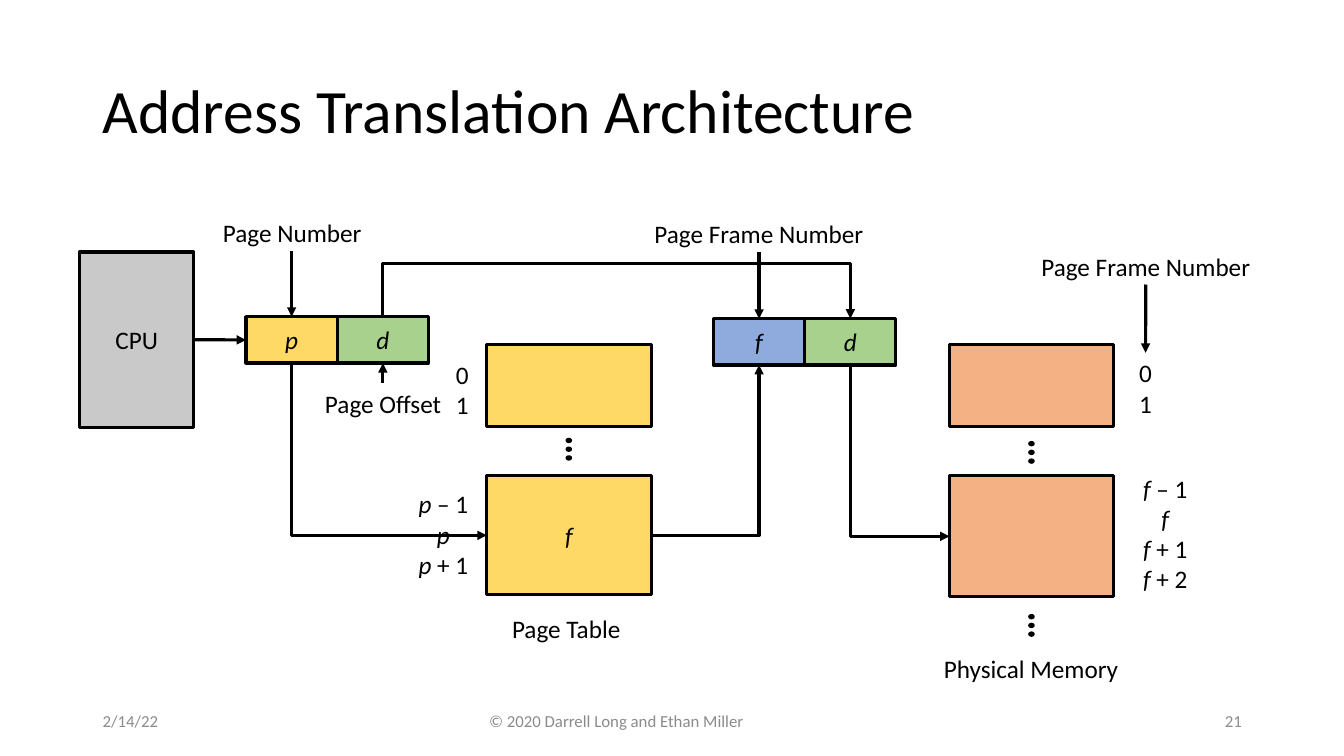
from pptx import Presentation
from pptx import util as u
from pptx.dml.color import RGBColor
from pptx.enum import shapes, text
from pptx.oxml.ns import qn
from lxml import etree

FONT = "Calibri"
BLACK, GREY, FOOTER = "000000", "C9C9C9", "8C8C8C"
YELLOW, GREEN, BLUE, ORANGE = "FFD966", "A9D18E", "8FAADC", "F4B183"
CENTER, LEFT, RIGHT = text.PP_ALIGN.CENTER, text.PP_ALIGN.LEFT, text.PP_ALIGN.RIGHT
MIDDLE, TOP = text.MSO_ANCHOR.MIDDLE, text.MSO_ANCHOR.TOP
RECTANGLE, OVAL = shapes.MSO_SHAPE.RECTANGLE, shapes.MSO_SHAPE.OVAL
STRAIGHT, ELBOW = shapes.MSO_CONNECTOR.STRAIGHT, shapes.MSO_CONNECTOR.ELBOW


def color(value):
    return RGBColor.from_string(value)


def cm_box(box):
    return [u.Cm(length) for length in box]


def write(frame, lines, size=18, tint=BLACK, align=CENTER, anchor=MIDDLE, inset=0):
    frame.word_wrap = True
    frame.vertical_anchor = anchor
    frame.margin_left = frame.margin_right = u.Cm(inset)
    for index, line in enumerate(lines):
        paragraph = frame.paragraphs[0] if index == 0 else frame.add_paragraph()
        paragraph.alignment = align
        paragraph.font.name = FONT
        paragraph.font.size = u.Pt(size)
        paragraph.font.color.rgb = color(tint)
        variable = line[0] if line[0] in "pdf" else ""
        for part, italic in ((variable, True), (line[len(variable):], False)):
            if part:
                run = paragraph.add_run()
                run.text = part
                run.font.italic = italic


def label(slide, box, *lines, anchor=TOP, **style):
    caption = slide.shapes.add_textbox(*cm_box(box))
    write(caption.text_frame, lines, anchor=anchor, **style)
    return caption


def solid(slide, kind, box, fill, weight):
    shape = slide.shapes.add_shape(kind, *cm_box(box))
    shape.shadow.inherit = False
    shape.fill.solid()
    shape.fill.fore_color.rgb = color(fill)
    shape.line.color.rgb = color(BLACK)
    shape.line.width = u.Pt(weight)
    return shape


def cell(slide, box, fill, name=""):
    block = solid(slide, RECTANGLE, box, fill, 2.25)
    if name:
        write(block.text_frame, [name])
    return block


def dots(slide, center, top):
    for row in range(3):
        solid(slide, OVAL, (center - 0.07, top + row * 0.22, 0.13, 0.1), BLACK, 1)


def side(shape, where):
    across, down = {"top": (0.5, 0), "bottom": (0.5, 1),
                    "left": (0, 0.5), "right": (1, 0.5)}[where]
    return (int(shape.left + across * shape.width),
            int(shape.top + down * shape.height))


def arrow(slide, start, end, kind=STRAIGHT):
    line = slide.shapes.add_connector(kind, *start, *end)
    line.line.color.rgb = color(BLACK)
    line.line.width = u.Pt(2.25)
    etree.SubElement(line.line._get_or_add_ln(), qn("a:tailEnd"), type="triangle")
    etree.SubElement(line._element.spPr, qn("a:effectLst"))
    return line


def corner(slide, start, end):
    line = arrow(slide, start, end, ELBOW)
    line._element.spPr.find(qn("a:prstGeom")).set("prst", "bentConnector2")
    return line


def upright(slide, start, end, draw):
    middle_x, middle_y = (start[0] + end[0]) // 2, (start[1] + end[1]) // 2
    half_x, half_y = (end[0] - start[0]) // 2, (end[1] - start[1]) // 2
    line = draw(slide, (middle_x + half_y, middle_y - half_x),
                (middle_x - half_y, middle_y + half_x))
    line._element.spPr.find(qn("a:xfrm")).set("rot", str(270 * 60000))
    return line


def bridge(slide, start, end, rise):
    line = upright(slide, start, end, lambda *ends: arrow(*ends, kind=ELBOW))
    geometry = line._element.spPr.find(qn("a:prstGeom"))
    adjustments = geometry.find(qn("a:avLst"))
    share = -round(u.Cm(rise) / (end[1] - start[1]) * 100000)
    etree.SubElement(adjustments, qn("a:gd"), name="adj1", fmla=f"val {share}")


def address(slide, left, top, *fields):
    width, height = 2.3, 1.17
    return [cell(slide, (left + index * width, top, width, height), fill, name)
            for index, (name, fill) in enumerate(fields)]


def storage(slide, left, top, fill, entry_height, gap_dots, entry=""):
    width = 4.14
    cell(slide, (left, top, width, 2.06), fill)
    dots(slide, left + width / 2, top + gap_dots)
    return cell(slide, (left, top + 3.3, width, entry_height), fill, entry)


def page_table(slide, left, top):
    entry = storage(slide, left, top, YELLOW, 3, 2.36, "f")
    label(slide, (left + 0.3, top + 6.63, 3.4, 0.97), "Page Table")
    return entry


def physical_memory(slide, left, top):
    frame = storage(slide, left, top, ORANGE, 3.05, 2.44)
    dots(slide, left + 2.07, top + 6.8)
    label(slide, (left - 0.56, top + 7.64, 5.23, 0.97), "Physical Memory")
    return frame


def table_rows(slide, left, top):
    label(slide, (left - 1.14, top + 0.23, 1.04, 1.7), "0", "1")
    label(slide, (left - 2.01, top + 3.5, 1.83, 4.39), "p – 1", "p", "p + 1")


def memory_rows(slide, left, top):
    numbers = label(slide, (left + 4.42, top + 0.2, 1.04, 1.7), "0", "1")
    label(slide, (left + 4.52, top + 3.1, 1.83, 6.07), "f – 1", "f", "f + 1", "f + 2")
    heading = label(slide, (left + 1.95, top - 2.49, 5.99, 0.97), "Page Frame Number")
    arrow(slide, side(heading, "bottom"), side(numbers, "top"))


def diagram(slide, left, top):
    table_at = (left + 10.26, top + 2.34)
    memory_at = (left + 21.92, top + 2.34)
    cpu = cell(slide, (left, top, 2.87, 4.42), GREY, "CPU")
    page, offset = address(slide, left + 4.19, top + 1.63, ("p", YELLOW), ("d", GREEN))
    frame, frame_offset = address(slide, left + 15.97, top + 1.68, ("f", BLUE), ("d", GREEN))
    entry = page_table(slide, *table_at)
    memory = physical_memory(slide, *memory_at)

    arrow(slide, side(cpu, "right"), side(page, "left"))
    upright(slide, side(page, "bottom"), side(entry, "left"), corner)
    corner(slide, side(entry, "right"), side(frame, "bottom"))
    upright(slide, side(frame_offset, "bottom"), side(memory, "left"), corner)
    bridge(slide, side(offset, "top"), side(frame_offset, "top"), 1.33)

    table_rows(slide, *table_at)
    memory_rows(slide, *memory_at)
    for name, box, start, target, end in (
        ("Page Number", (3.27, -0.99, 4.17, 0.97), "bottom", page, "top"),
        ("Page Offset", (5.56, 3.3, 4.17, 0.97), "top", offset, "bottom"),
        ("Page Frame Number", (14.12, -0.97, 5.99, 0.97), "bottom", frame, "top"),
    ):
        heading = label(slide, (left + box[0], top + box[1], *box[2:]), name)
        tip = side(target, end)
        arrow(slide, (tip[0], side(heading, start)[1]), tip)


def title(slide, box):
    heading = label(slide, box, "Address Translation Architecture",
                    size=44, align=LEFT, anchor=MIDDLE, inset=0.25)
    heading.text_frame.paragraphs[0].line_spacing = 0.9


def footer(slide, left, top, width):
    height = 1.02
    for words, start, span, align, tint in (
        ("2/14/22", left, 4.83, LEFT, FOOTER),
        ("© 2020 Darrell Long and Ethan Miller", left + 6.07, 14.25, CENTER, "8B8B8B"),
        ("21", left + width - 7.62, 7.62, RIGHT, FOOTER),
    ):
        label(slide, (start, top, span, height), words, size=12, tint=tint,
              align=align, anchor=MIDDLE, inset=0.25)


def main():
    deck = Presentation()
    deck.slide_width, deck.slide_height = u.Cm(33.87), u.Cm(19.05)
    slide = deck.slides.add_slide(deck.slide_layouts[6])
    title(slide, (2.34, 1.02, 29.21, 3.68))
    diagram(slide, 2.01, 6.35)
    footer(slide, 2.34, 17.65, 29.21)
    deck.save("out.pptx")


if __name__ == "__main__":
    main()
